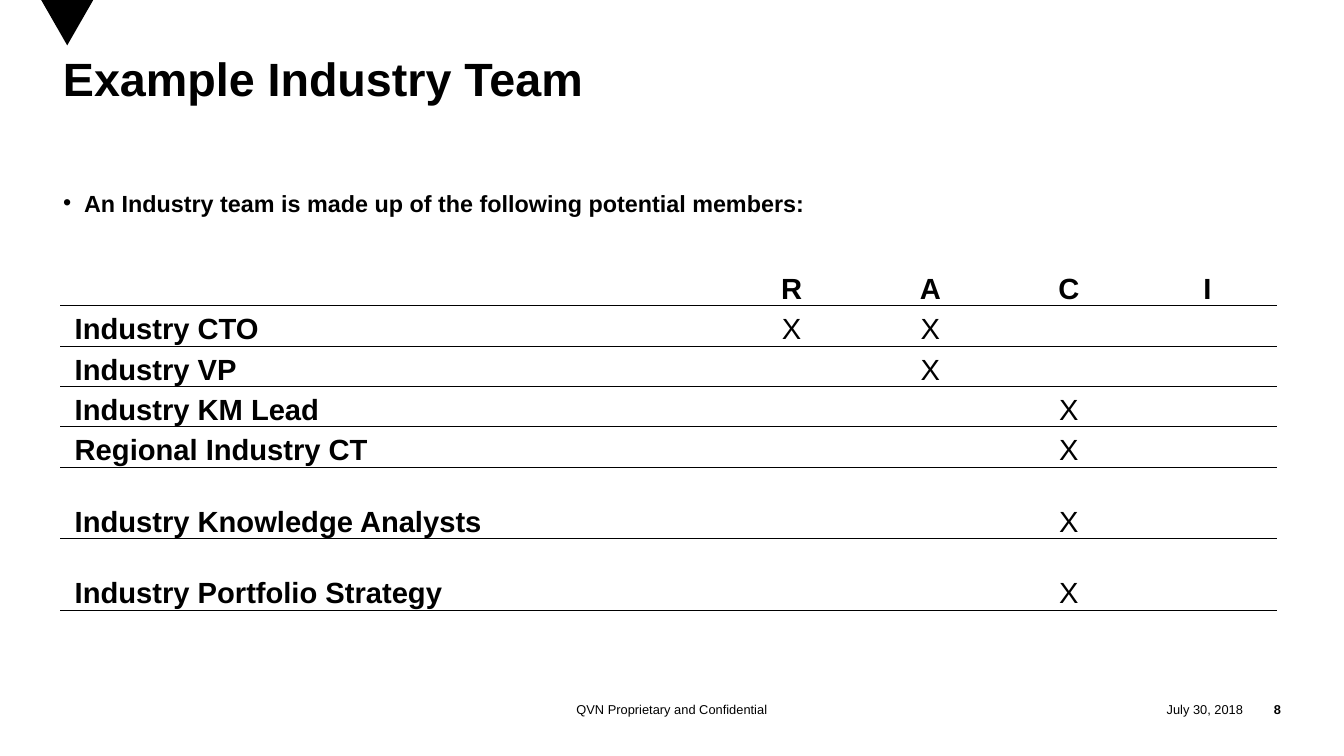
from dataclasses import dataclass

from lxml.etree import SubElement
from pptx import Presentation
from pptx.dml.color import RGBColor
from pptx.enum.text import MSO_ANCHOR as Anchor, PP_ALIGN as Align
from pptx.oxml.ns import qn
from pptx.util import Inches, Pt


@dataclass(frozen=True)
class Theme:
    """Colours, font, type sizes and rule widths of the slide."""
    ink: RGBColor = RGBColor(0, 0, 0)
    font: str = "Arial"
    title: int = 40
    body: int = 20
    table: int = 25
    footer: int = 11
    rule: float = 0.5
    header_rule: float = 1.5


THEME = Theme()
RACI = "RACI"
TEAM = [
    ("Industry CTO", "RA"),
    ("Industry VP", "A"),
    ("Industry KM Lead", "C"),
    ("Regional Industry CT", "C"),
    ("Industry Knowledge Analysts", "C"),
    ("Industry Portfolio Strategy", "C"),
]
ROW_HEIGHTS = [0.48] * 5 + [0.85] * 2
COLUMN_WIDTHS = [7.88] + [1.65] * len(RACI)


def add_run(p, text, size, bold=False):
    """Add one styled run to a paragraph."""
    r = p.add_run()
    r.text = text
    r.font.name = THEME.font
    r.font.size = Pt(size)
    r.font.bold = bold
    r.font.color.rgb = THEME.ink


def add_text(slide, box, text, size, bold=False, align=Align.LEFT, anchor=Anchor.TOP):
    """Add a text box without insets and return its paragraph."""
    tf = slide.shapes.add_textbox(*map(Inches, box)).text_frame
    tf.word_wrap = True
    tf.vertical_anchor = anchor
    tf.margin_left = tf.margin_right = tf.margin_top = tf.margin_bottom = 0
    p = tf.paragraphs[0]
    p.alignment = align
    add_run(p, text, size, bold)
    return p


def set_bullet(p, indent):
    """Give a paragraph a round bullet with a hanging indent."""
    pPr = p._p.get_or_add_pPr()
    pPr.set("marL", str(Inches(indent)))
    pPr.set("indent", str(-Inches(indent)))
    SubElement(pPr, qn("a:buFont"), typeface=THEME.font)
    SubElement(pPr, qn("a:buChar"), char="•")


def add_marker(slide):
    """Draw the triangle that hangs from the top edge."""
    builder = slide.shapes.build_freeform(Inches(0.49), 0)
    builder.add_line_segments([(Inches(0.8), Inches(0.54)), (Inches(1.11), 0)])
    sp = builder.convert_to_shape()
    sp.shadow.inherit = False
    sp.fill.solid()
    sp.fill.fore_color.rgb = THEME.ink
    sp.line.fill.background()


def set_borders(cell, top, bottom):
    """Set horizontal rules in points, zero for none, and clear the sides."""
    tcPr = cell._tc.get_or_add_tcPr()
    for tag, width in (("lnL", 0), ("lnR", 0), ("lnT", top), ("lnB", bottom)):
        ln = SubElement(tcPr, qn(f"a:{tag}"), w=str(Pt(width)))
        if width:
            fill = SubElement(ln, qn("a:solidFill"))
            SubElement(fill, qn("a:srgbClr"), val=str(THEME.ink))
        else:
            SubElement(ln, qn("a:noFill"))


def fill_cell(cell, text, bold, align):
    """Write a bottom-anchored table cell without a fill."""
    cell.fill.background()
    cell.vertical_anchor = Anchor.BOTTOM
    cell.margin_left = cell.margin_right = Inches(0.17)
    cell.margin_top = cell.margin_bottom = 0
    p = cell.text_frame.paragraphs[0]
    p.alignment = align
    if text:
        add_run(p, text, THEME.table, bold)


def add_raci_table(slide):
    """Add the table of team members and their RACI roles."""
    rows = [["", *RACI]]
    rows += [[name, *("X" if role in roles else "" for role in RACI)] for name, roles in TEAM]
    table = slide.shapes.add_table(
        len(rows), len(COLUMN_WIDTHS), Inches(0.72), Inches(3.16),
        Inches(sum(COLUMN_WIDTHS)), Inches(sum(ROW_HEIGHTS))).table
    table.first_row = table.horz_banding = False
    for column, width in zip(table.columns, COLUMN_WIDTHS):
        column.width = Inches(width)
    for i, (values, height) in enumerate(zip(rows, ROW_HEIGHTS)):
        table.rows[i].height = Inches(height)
        top = (0, THEME.header_rule)[i] if i < 2 else THEME.rule
        bottom = THEME.rule if i else THEME.header_rule
        for j, text in enumerate(values):
            cell = table.cell(i, j)
            set_borders(cell, top, bottom)
            fill_cell(cell, text, i == 0 or j == 0, Align.CENTER if j else Align.LEFT)


def add_footer(slide):
    """Add the date, the slide number and the confidentiality line."""
    for left, width, text, bold, align in (
            (13.01, 1.79, "July 30, 2018", False, Align.RIGHT),
            (14.8, 0.45, "8", True, Align.RIGHT),
            (5.25, 5.5, "QVN Proprietary and Confidential", False, Align.CENTER)):
        add_text(slide, (left, 8.29, width, 0.3), text, THEME.footer, bold, align, Anchor.MIDDLE)


def main():
    """Build the slide and save it."""
    prs = Presentation()
    prs.slide_width, prs.slide_height = Inches(16), Inches(9)
    slide = prs.slides.add_slide(prs.slide_layouts[6])
    add_marker(slide)
    add_footer(slide)
    title = add_text(slide, (0.75, 0.7, 14.5, 1.55), "Example Industry Team", THEME.title, True)
    title.line_spacing = 0.85
    intro = add_text(slide, (0.75, 2.25, 12.25, 5.6),
                     "An Industry team is made up of the following potential members:",
                     THEME.body, True)
    intro.space_before = Pt(12)
    set_bullet(intro, 0.25)
    add_raci_table(slide)
    prs.save("out.pptx")


main()
